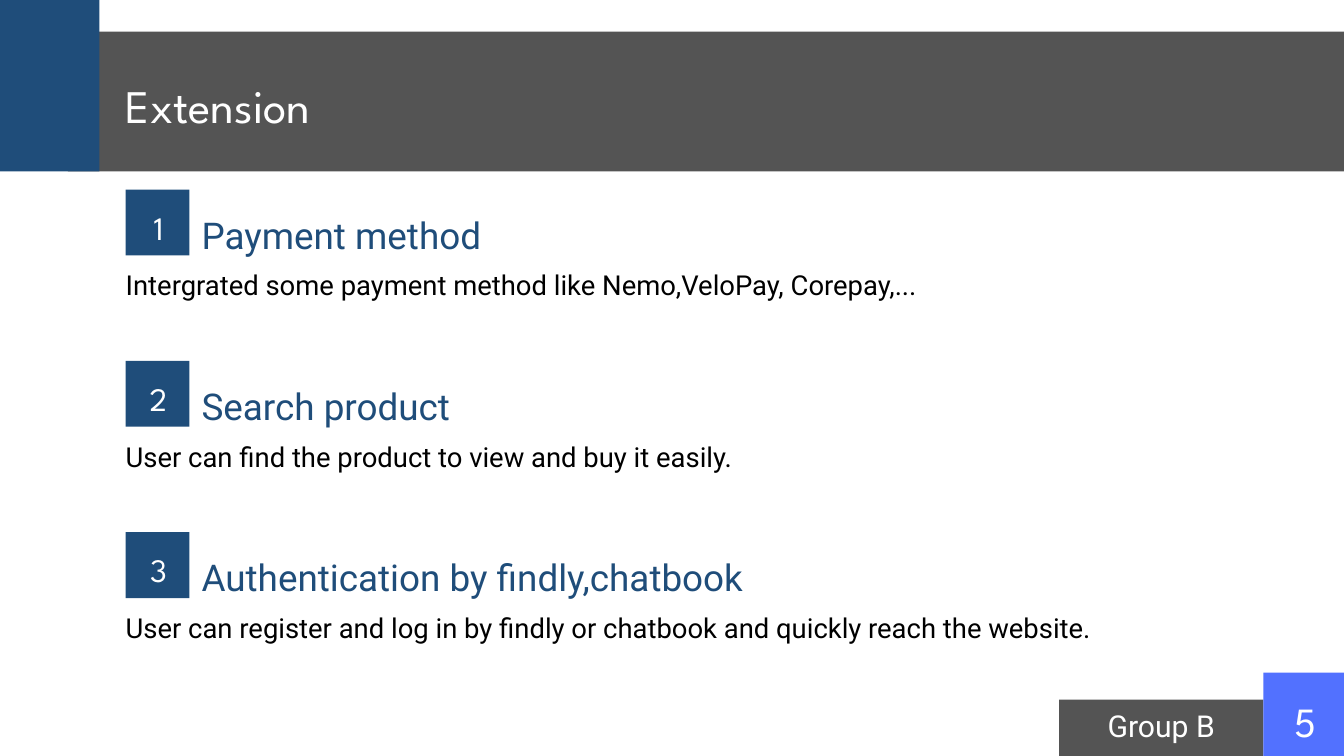
from pptx import Presentation
from pptx.dml.color import RGBColor
from pptx.enum.shapes import MSO_SHAPE
from pptx.enum.text import MSO_ANCHOR, MSO_AUTO_SIZE, PP_ALIGN
from pptx.util import Inches, Pt

TITLE = "Extension"
FEATURES = [
    ("Payment method",
     "Intergrated some payment method like Nemo,VeloPay, Corepay,..."),
    ("Search product",
     "User can find the product to view and buy it easily."),
    ("Authentication by findly,chatbook",
     "User can register and log in by findly or chatbook and quickly reach the website."),
]
GROUP_NAME = "Group B"
PAGE_NUMBER = "5"

NAVY, GRAY, BLUE = "1F4D7A", "545454", "5271FF"
WHITE, BLACK = "FFFFFF", "000000"
HEADING_FONT, BODY_FONT = "League Spartan", "Roboto"

MARGIN = 1.87
FIRST_TOP = 2.82
FEATURE_STEP = 2.55
LINE_RATIO = 1.4


def color(hex_code):
    return RGBColor.from_string(hex_code)


def add_block(slide, left, top, width, height, fill):
    block = slide.shapes.add_shape(
        MSO_SHAPE.RECTANGLE, Inches(left), Inches(top), Inches(width), Inches(height))
    block.shadow.inherit = False
    block.fill.solid()
    block.fill.fore_color.rgb = color(fill)
    block.line.fill.background()


def write(holder, text, *, size, font=BODY_FONT, fill=WHITE, align=PP_ALIGN.LEFT):
    """Fill a text box or placeholder with one formatted line, without insets."""
    frame = holder.text_frame
    frame.margin_left = frame.margin_top = frame.margin_right = frame.margin_bottom = 0
    frame.word_wrap = True
    frame.auto_size = MSO_AUTO_SIZE.NONE
    frame.vertical_anchor = MSO_ANCHOR.TOP
    frame.text = text
    paragraph = frame.paragraphs[0]
    paragraph.alignment = align
    paragraph.line_spacing = Pt(round(size * LINE_RATIO, 1))
    run_font = paragraph.runs[0].font
    run_font.name = font
    run_font.size = Pt(size)
    run_font.color.rgb = color(fill)


def add_text(slide, text, left, top, width, height, **text_format):
    box = slide.shapes.add_textbox(
        Inches(left), Inches(top), Inches(width), Inches(height))
    write(box, text, **text_format)


def add_title(slide):
    title = slide.shapes.title
    title.left, title.top = Inches(MARGIN), Inches(1.01)
    title.width, title.height = Inches(9.3), Inches(0.94)
    write(title, TITLE, size=50, font=HEADING_FONT)
    # The title has to lie in front of the header band.
    slide.shapes.element.append(title.element)


def add_feature(slide, number, heading, description):
    top = FIRST_TOP + (number - 1) * FEATURE_STEP
    add_text(slide, description, MARGIN, top + 1.09, 16.05, 0.54, size=29.4, fill=BLACK)
    add_text(slide, heading, 3, top + 0.23, 10.17, 0.75, size=39.5, fill=NAVY)
    add_block(slide, MARGIN, top, 0.95, 0.98, NAVY)
    add_text(slide, str(number), 2.02, top + 0.17, 0.68, 0.65,
             size=35.1, font=HEADING_FONT, align=PP_ALIGN.CENTER)


def add_footer(slide):
    add_block(slide, 15.76, 10.41, 3.04, 0.84, GRAY)
    add_block(slide, 18.8, 10.01, 1.2, 1.24, BLUE)
    add_text(slide, GROUP_NAME, 16.27, 10.44, 2.02, 0.61,
             size=32.3, align=PP_ALIGN.CENTER)
    add_text(slide, PAGE_NUMBER, 19, 10.23, 0.86, 0.83,
             size=44.5, font=HEADING_FONT, align=PP_ALIGN.CENTER)


def main():
    deck = Presentation()
    deck.slide_width, deck.slide_height = Inches(20), Inches(11.25)
    slide = deck.slides.add_slide(deck.slide_layouts[5])

    add_footer(slide)
    for number, (heading, description) in enumerate(FEATURES, start=1):
        add_feature(slide, number, heading, description)
    add_block(slide, 1.01, 0.47, 18.99, 2.08, GRAY)
    add_block(slide, -0.74, -0.83, 2.22, 3.38, NAVY)
    add_title(slide)

    deck.save("out.pptx")


if __name__ == "__main__":
    main()
